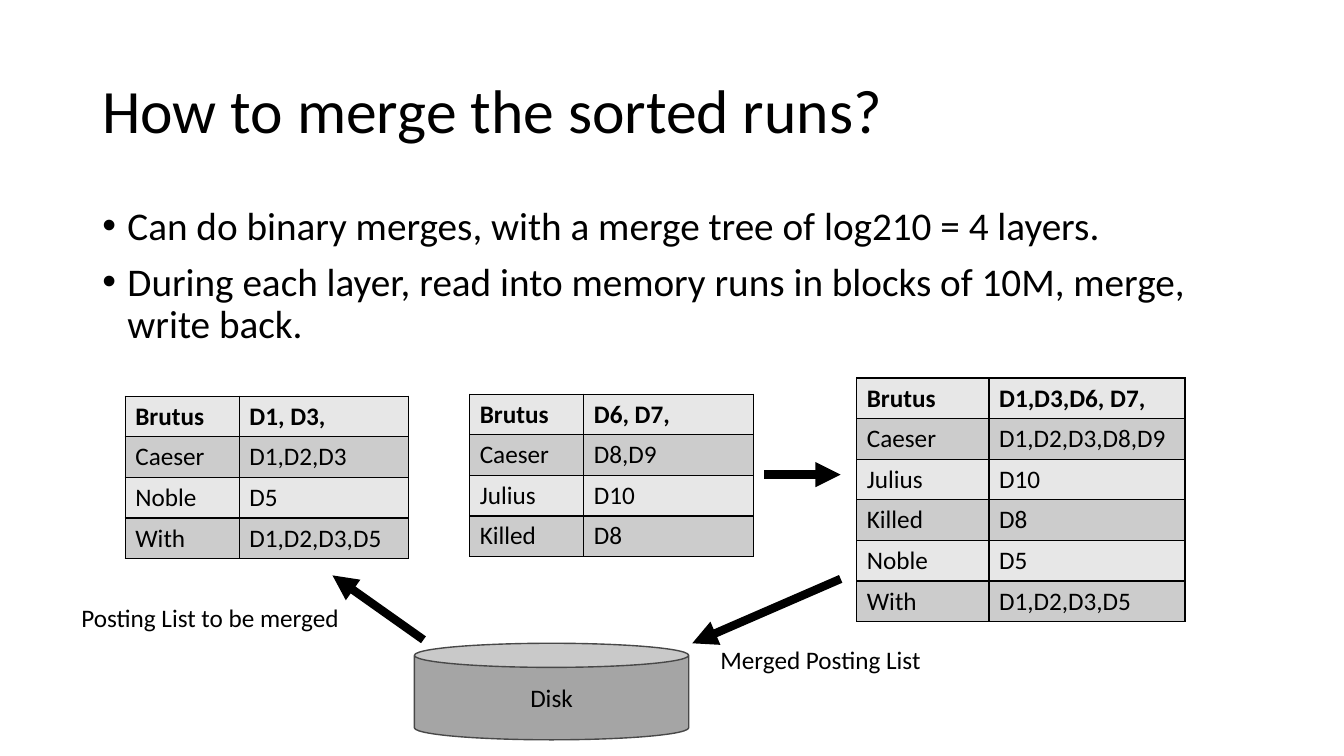
from pptx import Presentation
from pptx.dml.color import RGBColor as RGB
from pptx.enum.shapes import MSO_CONNECTOR as Link, MSO_SHAPE as Shape
from pptx.enum.text import MSO_ANCHOR as Anchor, PP_ALIGN as Align
from pptx.oxml.ns import qn
from pptx.util import Pt
from lxml.etree import SubElement as Sub


def color(code):
    return RGB.from_string(code)


class Board:
    font = "Calibri"
    ink = "000000"
    bands = ("E7E7E7", "CCCCCC")
    row = 29

    def __init__(self, slide):
        self.slide = slide

    def style(self, para, size, bold=False):
        font = para.font
        font.name, font.size, font.bold = self.font, Pt(size), bold
        font.color.rgb = color(self.ink)

    def text(self, lines, box, size=18, anchor=Anchor.TOP, space=None, bullet=False):
        frame = self.slide.shapes.add_textbox(*map(Pt, box)).text_frame
        frame.word_wrap = True
        frame.vertical_anchor = anchor
        frame.text = "\n".join(lines)
        for i, para in enumerate(frame.paragraphs):
            if space:
                para.line_spacing = space
            if bullet:
                if i:
                    para.space_before = Pt(10)
                props = para._p.get_or_add_pPr()
                props.set("marL", str(Pt(18)))
                props.set("indent", str(-Pt(18)))
                Sub(props, qn("a:buFont"), typeface="Arial")
                Sub(props, qn("a:buChar"), char="•")
            self.style(para, size)

    def table(self, left, top, widths, rows):
        frame = self.slide.shapes.add_table(
            len(rows), len(widths), Pt(left), Pt(top),
            Pt(sum(widths)), Pt(self.row * len(rows)))
        grid = frame.table
        grid.first_row = grid.horz_banding = False
        for col, width in zip(grid.columns, widths):
            col.width = Pt(width)
        for r, row in enumerate(rows):
            for c, word in enumerate(row):
                cell = grid.cell(r, c)
                cell.text = word
                self.style(cell.text_frame.paragraphs[0], 18, bold=r == 0)
                self.border(cell)
                cell.fill.solid()
                cell.fill.fore_color.rgb = color(self.bands[r % 2])

    def border(self, cell):
        props = cell._tc.get_or_add_tcPr()
        for side in "LRTB":
            line = Sub(props, qn(f"a:ln{side}"), w=str(Pt(1)))
            fill = Sub(line, qn("a:solidFill"))
            Sub(fill, qn("a:srgbClr"), val=self.ink)

    def can(self, word, box):
        can = self.slide.shapes.add_shape(Shape.CAN, *map(Pt, box))
        can.shadow.inherit = False
        can.fill.solid()
        can.fill.fore_color.rgb = color("A5A5A5")
        can.line.color.rgb = color("484848")
        can.line.width = Pt(1)
        frame = can.text_frame
        frame.text = word
        frame.vertical_anchor = Anchor.MIDDLE
        para = frame.paragraphs[0]
        para.alignment = Align.CENTER
        self.style(para, 18)

    def arrow(self, start, end):
        link = self.slide.shapes.add_connector(
            Link.STRAIGHT, *map(Pt, start + end))
        link.line.color.rgb = color(self.ink)
        link.line.width = Pt(6)
        Sub(link.line._get_or_add_ln(), qn("a:tailEnd"), type="triangle")
        Sub(link._element.spPr, qn("a:effectLst"))


def main():
    deck = Presentation()
    deck.slide_width, deck.slide_height = Pt(960), Pt(540)
    board = Board(deck.slides.add_slide(deck.slide_layouts[6]))

    # Title and points
    board.text(["How to merge the sorted runs?"], (66, 28.75, 828, 104.4),
               44, Anchor.MIDDLE, 0.9)
    board.text(["Can do binary merges, with a merge tree of log210 = 4 layers.",
                "During each layer, read into memory runs in blocks of 10M, "
                "merge, write back."],
               (66, 143.75, 828, 342.6), 28, space=0.9, bullet=True)

    # Two sorted runs and the merged one
    run = (81.5, 121)
    board.table(89.5, 283, run, [
        ("Brutus", "D1, D3,"), ("Caeser", "D1,D2,D3"),
        ("Noble", "D5"), ("With", "D1,D2,D3,D5")])
    board.table(335.5, 281.5, run, [
        ("Brutus", "D6, D7,"), ("Caeser", "D8,D9"),
        ("Julius", "D10"), ("Killed", "D8")])
    board.table(612, 270, (94.5, 140), [
        ("Brutus", "D1,D3,D6, D7,"), ("Caeser", "D1,D2,D3,D8,D9"),
        ("Julius", "D10"), ("Killed", "D8"),
        ("Noble", "D5"), ("With", "D1,D2,D3,D5")])

    # Disk and the flow around it
    board.can("Disk", (296, 459.5, 196, 69))
    board.arrow((546, 339), (600.5, 339))
    board.arrow((302.5, 457), (237.5, 411))
    board.arrow((600.5, 413.5), (494.5, 459.5))

    # Captions
    board.text(["Merged Posting List"], (507.5, 456.5, 185, 29))
    board.text(["Posting List to be merged"], (51, 427, 209.5, 29))

    deck.save("out.pptx")


if __name__ == "__main__":
    main()
